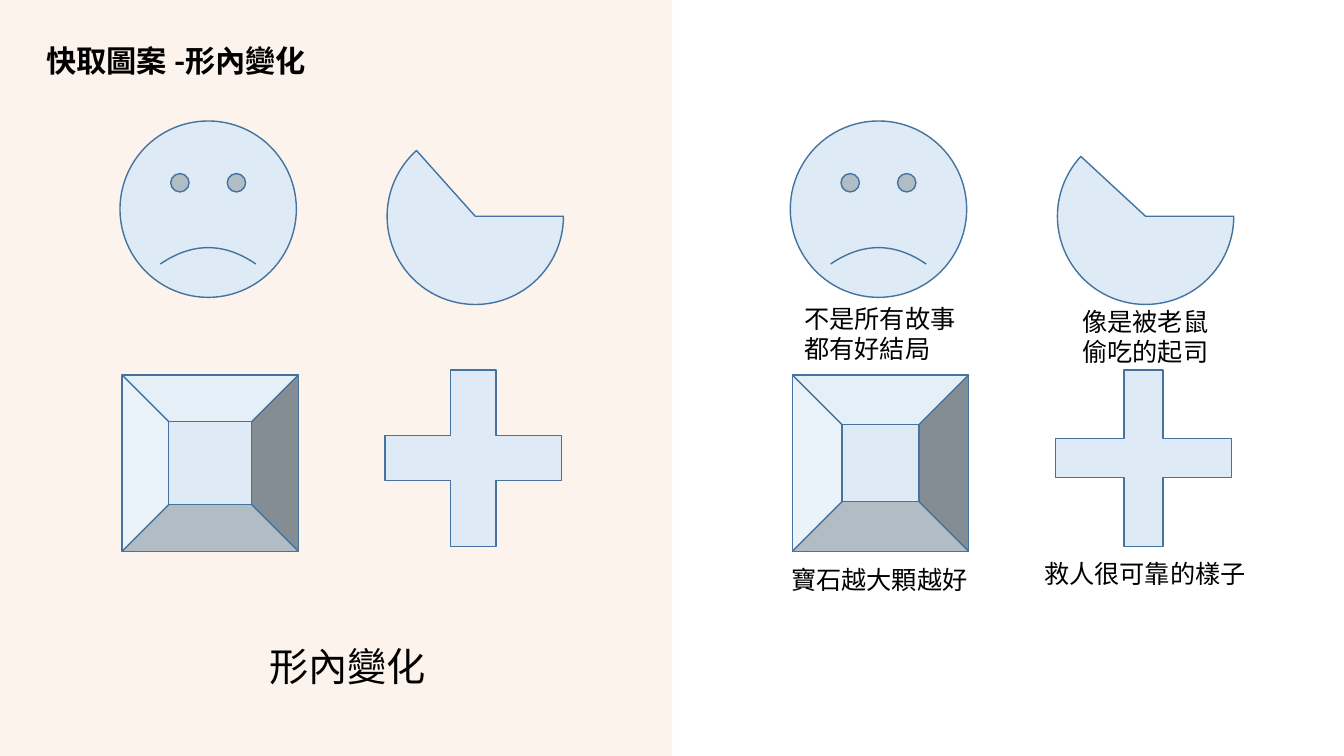
from dataclasses import dataclass

import pptx
import pptx.dml.color
import pptx.enum.shapes
import pptx.enum.text
import pptx.oxml
import pptx.oxml.ns
import pptx.util

Pt = pptx.util.Pt
Shape = pptx.enum.shapes.MSO_SHAPE
Align = pptx.enum.text.PP_ALIGN
Anchor = pptx.enum.text.MSO_ANCHOR

COLORS = {
    "panel": "F4B183",
    "divider": "FBE5D6",
    "icon_fill": "DEEBF7",
    "icon_line": "43739E",
    "text": "000000",
}
CJK_FONT = "Noto Sans CJK SC"
BODY_FONT = "Times New Roman"
SLIDE_WIDTH, SLIDE_HEIGHT = 960, 540
ICON_SIZE = 126
COLUMN_OFFSETS = (0, 478.8)
PIE_DEGREE = 0.6  # one degree of a pie angle in adjustment units


@dataclass(frozen=True)
class Icon:
    """A preset shape; `variants` holds its adjustments in each column."""
    kind: Shape
    left: float
    top: float
    variants: tuple[tuple[float, ...], tuple[float, ...]]


@dataclass(frozen=True)
class Caption:
    lines: tuple[str, ...]
    left: float
    top: float
    width: float
    height: float


ICONS = (
    Icon(Shape.SMILEY_FACE, 85.7, 86.4, ((-0.047,), (-0.047,))),
    Icon(Shape.PIE, 276.5, 91.5, ((0, 228.2 * PIE_DEGREE), (0, 222.77 * PIE_DEGREE))),
    Icon(Shape.BEVEL, 87.2, 267.8, ((0.265,), (0.282,))),
    Icon(Shape.CROSS, 275, 264.2, ((0.371,), (0.39,))),
)
CAPTIONS = (
    Caption(("不是所有故事", "都有好結局"), 567.4, 213.1, 123.8, 51.1),
    Caption(("像是被老鼠", "偷吃的起司"), 766.1, 215.3, 105.1, 51.1),
    Caption(("寶石越大顆越好",), 558, 399.6, 141.8, 28.8),
    Caption(("救人很可靠的樣子",), 738.7, 395.3, 159.8, 28.8),
)


def rgb(name: str) -> pptx.dml.color.RGBColor:
    return pptx.dml.color.RGBColor.from_string(COLORS[name])


def set_opacity(owner, percent: int) -> None:
    color = next(owner.iter(pptx.oxml.ns.qn("a:srgbClr")))
    alpha = pptx.oxml.parse_xml(
        f'<a:alpha {pptx.oxml.ns.nsdecls("a")} val="{percent * 1000}"/>')
    color.append(alpha)


def add_panel(slide) -> None:
    """Tint the left half and rule off its right edge."""
    middle = Pt(SLIDE_WIDTH / 2)
    panel = slide.shapes.add_shape(Shape.RECTANGLE, 0, 0, middle, Pt(SLIDE_HEIGHT))
    panel.shadow.inherit = False
    panel.fill.solid()
    panel.fill.fore_color.rgb = rgb("panel")
    panel.line.fill.background()
    set_opacity(panel.fill._xPr, 14)

    divider = slide.shapes.add_connector(
        pptx.enum.shapes.MSO_CONNECTOR.STRAIGHT, middle, Pt(SLIDE_HEIGHT), middle, 0)
    divider.line.color.rgb = rgb("divider")
    divider.line.width = Pt(0.25)
    properties = divider._element.spPr
    set_opacity(properties, 50)
    properties.append(pptx.oxml.parse_xml(f'<a:effectLst {pptx.oxml.ns.nsdecls("a")}/>'))


def add_icon(slide, icon: Icon, column: int) -> None:
    shape = slide.shapes.add_shape(
        icon.kind, Pt(icon.left + COLUMN_OFFSETS[column]), Pt(icon.top),
        Pt(ICON_SIZE), Pt(ICON_SIZE))
    for index, value in enumerate(icon.variants[column]):
        shape.adjustments[index] = value
    shape.shadow.inherit = False
    shape.fill.solid()
    shape.fill.fore_color.rgb = rgb("icon_fill")
    shape.line.color.rgb = rgb("icon_line")
    shape.line.width = Pt(1)


def add_text(slide, lines: tuple[str, ...], left: float, top: float, width: float,
             height: float, *, size: float = 18, font: str = BODY_FONT,
             bold: bool = False, wrap: bool = False, align: Align = Align.LEFT,
             anchor: Anchor = Anchor.TOP, spacing: float = 1.0) -> None:
    box = slide.shapes.add_textbox(Pt(left), Pt(top), Pt(width), Pt(height))
    frame = box.text_frame
    frame.word_wrap = wrap
    frame.vertical_anchor = anchor
    frame.text = "\n".join(lines)
    for paragraph in frame.paragraphs:
        paragraph.alignment = align
        paragraph.line_spacing = spacing
        for run in paragraph.runs:
            run.font.name = font
            run.font.size = Pt(size)
            run.font.bold = bold
            run.font.color.rgb = rgb("text")
            run.font._element.find(pptx.oxml.ns.qn("a:latin")).addnext(
                pptx.oxml.parse_xml(
                    f'<a:ea {pptx.oxml.ns.nsdecls("a")} typeface="{CJK_FONT}"/>'))


def main() -> None:
    presentation = pptx.Presentation()
    presentation.slide_width = Pt(SLIDE_WIDTH)
    presentation.slide_height = Pt(SLIDE_HEIGHT)
    slide = presentation.slides.add_slide(presentation.slide_layouts[6])

    add_panel(slide)
    add_text(slide, ("快取圖案 -形內變化",), 25.9, 28.8, 428.4, 31.7, size=21.6,
             font=CJK_FONT, bold=True, anchor=Anchor.MIDDLE, spacing=0.9)
    for column in range(len(COLUMN_OFFSETS)):
        for icon in ICONS:
            add_icon(slide, icon, column)
    add_text(slide, ("形內變化",), 106.6, 447.1, 283.7, 56.9, size=28, wrap=True,
             align=Align.CENTER, anchor=Anchor.MIDDLE)
    for caption in CAPTIONS:
        add_text(slide, caption.lines, caption.left, caption.top,
                 caption.width, caption.height)

    presentation.save("out.pptx")


if __name__ == "__main__":
    main()
